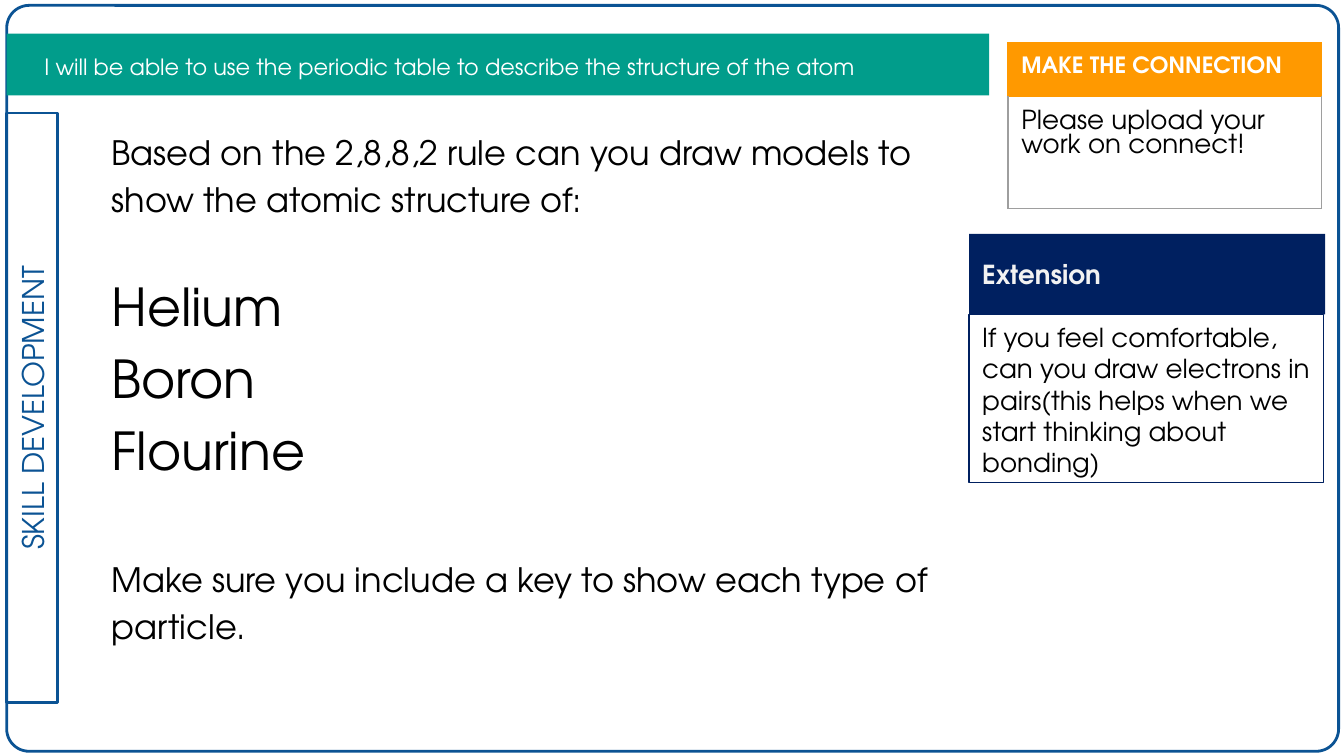
from lxml.etree import SubElement
from pptx import Presentation
from pptx.dml.color import RGBColor
from pptx.enum.shapes import MSO_SHAPE
from pptx.enum.text import MSO_ANCHOR, PP_ALIGN
from pptx.oxml.ns import qn
from pptx.util import Inches, Pt

FONT = "TeX Gyre Adventor"
BLUE = "0B5394"
TEAL = "019D8B"
NAVY = "002060"
ORANGE = "FF9900"
GREY = "9E9E9E"
WHITE = "FFFFFF"
BLACK = "000000"


def color(value):
    return RGBColor.from_string(value)


def add_text(para, text, size=14, fill=BLACK, bold=False, align=PP_ALIGN.LEFT,
             spacing=None, before=None):
    para.alignment = align
    if spacing:
        para.line_spacing = spacing
    if before:
        para.space_before = Pt(before)
    span = para.add_run()
    span.text = text
    span.font.name = FONT
    span.font.size = Pt(size)
    span.font.bold = bold
    span.font.color.rgb = color(fill)


def set_frame(frame, anchor=MSO_ANCHOR.TOP, left=0.1, top=0.1):
    frame.word_wrap = True
    frame.vertical_anchor = anchor
    frame.margin_left = Inches(left)
    frame.margin_right = Inches(0.1)
    frame.margin_top = frame.margin_bottom = Inches(top)
    return frame


def add_panel(page, box, fill=None, line=None, width=1.5, kind=MSO_SHAPE.RECTANGLE):
    panel = page.shapes.add_shape(kind, *map(Inches, box))
    panel.shadow.inherit = False
    if fill:
        panel.fill.solid()
        panel.fill.fore_color.rgb = color(fill)
    else:
        panel.fill.background()
    if line:
        panel.line.color.rgb = color(line)
        panel.line.width = Pt(width)
    else:
        panel.line.fill.background()
    return panel


def add_border(page, box):
    border = add_panel(page, box, line=BLUE, kind=MSO_SHAPE.ROUNDED_RECTANGLE)
    border.adjustments[0] = 0.03


def add_side_label(page, box):
    left, top, width, height = box
    turned = (left + (width - height) / 2, top + (height - width) / 2, height, width)
    label = add_panel(page, turned, line=BLUE)
    label.rotation = 270
    frame = set_frame(label.text_frame, MSO_ANCHOR.MIDDLE)
    add_text(frame.paragraphs[0], "SKILL DEVELOPMENT", size=16, fill=BLUE,
             align=PP_ALIGN.CENTER)


def add_goal(page, box):
    left, top, width, height = box
    add_panel(page, box, fill=TEAL)
    inner = (left + 0.05, top + 0.04, width - 0.1, height - 0.08)
    goal = page.shapes.add_textbox(*map(Inches, inner))
    frame = set_frame(goal.text_frame, MSO_ANCHOR.MIDDLE, left=0.23)
    add_text(frame.paragraphs[0],
             "I will be able to use the periodic table to describe the structure of the atom",
             size=12, fill=WHITE, spacing=1.15)


def add_task(page, box):
    task = page.shapes.add_textbox(*map(Inches, box))
    frame = set_frame(task.text_frame, left=0.23)
    lines = [
        ("Based on the 2,8,8,2 rule can you draw models to show the atomic structure of:", 18, 0),
        ("Helium", 28, 24.5),
        ("Boron", 28, 0),
        ("Flourine", 28, 0),
        ("Make sure you include a key to show each type of particle.", 18, 38.6),
    ]
    for index, (text, size, before) in enumerate(lines):
        para = frame.add_paragraph() if index else frame.paragraphs[0]
        add_text(para, text, size=size, spacing=1.15, before=before)


def add_extension(page, box):
    left, top, width, height = box
    header = 0.6
    body = add_panel(page, (left, top + header, width - 0.01, height - header),
                     fill=WHITE, line=NAVY, width=0.75)
    frame = set_frame(body.text_frame, top=0.05)
    add_text(frame.paragraphs[0],
             "If you feel comfortable, can you draw electrons in pairs"
             "(this helps when we start thinking about bonding)")
    title = add_panel(page, (left, top, width, header), fill=NAVY)
    frame = set_frame(title.text_frame, MSO_ANCHOR.MIDDLE, top=0.05)
    add_text(frame.paragraphs[0], "Extension", fill="F2F2F2", bold=True)


def set_borders(cell, line):
    properties = cell._tc.get_or_add_tcPr()
    edges = {"a:lnL": line, "a:lnR": line, "a:lnT": ORANGE, "a:lnB": line}
    for index, (side, shade) in enumerate(edges.items()):
        edge = properties.makeelement(qn(side), {"w": str(Pt(0.75))})
        properties.insert(index, edge)
        solid = SubElement(edge, qn("a:solidFill"))
        SubElement(solid, qn("a:srgbClr"), val=shade)


def add_connection(page, box):
    header = 0.4
    table = page.shapes.add_table(2, 1, *map(Inches, box)).table
    table.rows[0].height = Inches(header)
    table.rows[1].height = Inches(box[3] - header)
    rows = [
        ("MAKE THE CONNECTION", ORANGE, ORANGE, dict(size=12, fill=WHITE, bold=True)),
        ("Please upload your work on connect!", WHITE, GREY, {}),
    ]
    for index, (text, fill, line, style) in enumerate(rows):
        cell = table.cell(index, 0)
        cell.margin_left = cell.margin_right = Inches(0.1)
        cell.margin_top = cell.margin_bottom = Inches(0.1)
        cell.fill.solid()
        cell.fill.fore_color.rgb = color(fill)
        set_borders(cell, line)
        add_text(cell.text_frame.paragraphs[0], text, **style)


def main():
    deck = Presentation()
    deck.slide_width = Inches(10)
    deck.slide_height = deck.slide_width * 9 // 16
    page = deck.slides.add_slide(deck.slide_layouts[6])
    add_border(page, (0.05, 0.04, 9.91, 5.55))
    add_side_label(page, (0.05, 0.84, 0.38, 4.39))
    add_goal(page, (0.05, 0.25, 7.31, 0.46))
    add_task(page, (0.6, 0.84, 6.75, 4.54))
    add_extension(page, (7.21, 1.74, 2.65, 1.85))
    add_connection(page, (7.5, 0.32, 2.33, 1.23))
    deck.save("out.pptx")


if __name__ == "__main__":
    main()
